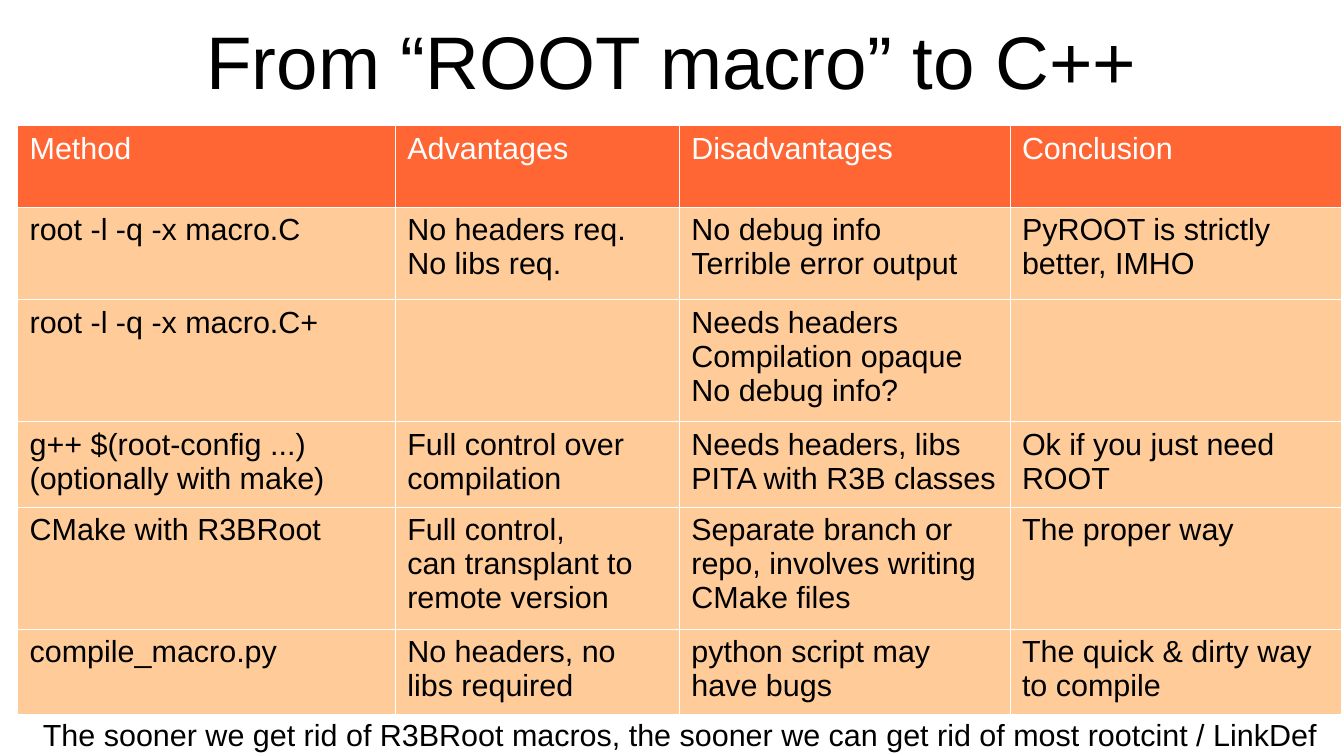
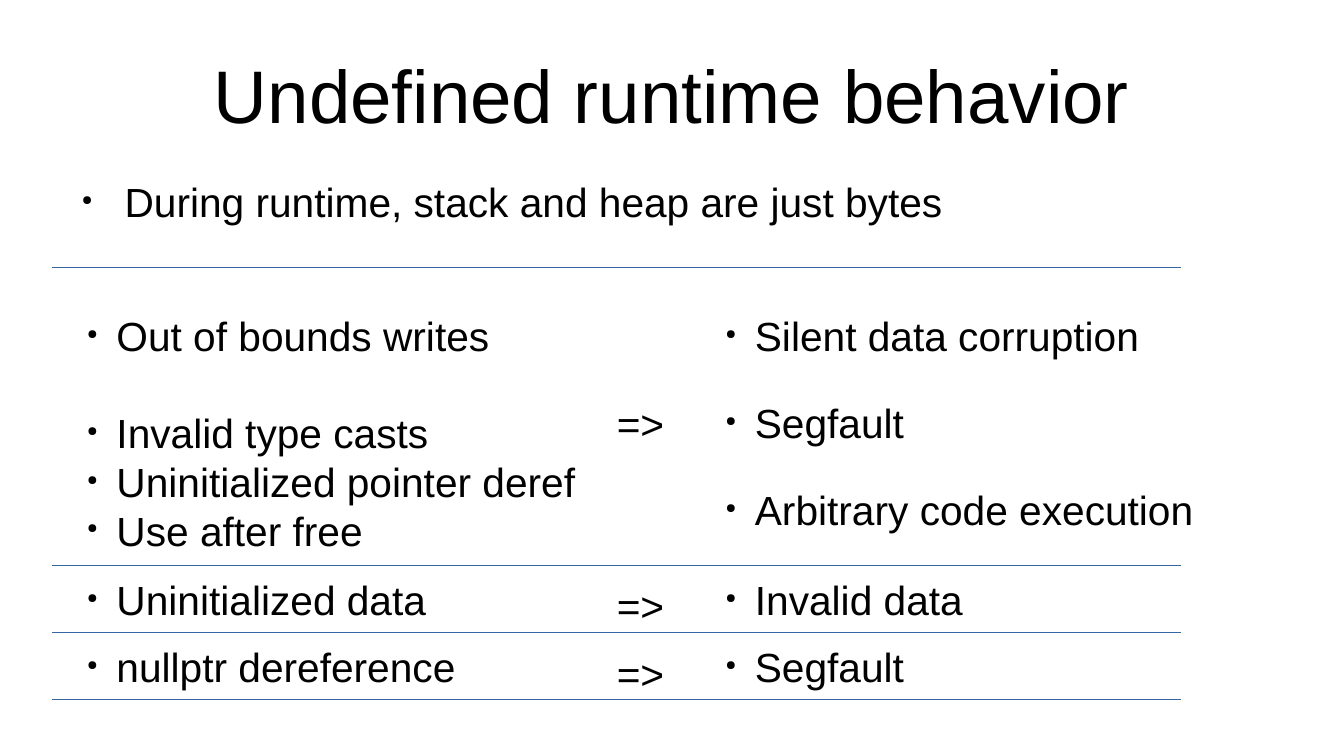
import pptx
import pptx.dml.color
import pptx.enum.shapes
import pptx.enum.text
import pptx.oxml.ns
import pptx.util
from lxml import etree

WIDTH, HEIGHT = 11.02, 6.2
ALIGN = pptx.enum.text.PP_ALIGN
ANCHOR = pptx.enum.text.MSO_ANCHOR
INK, WHITE, RULE = "000000", "FFFFFF", "3465A4"
HEADER_FILL, BODY_FILL = "FF6633", "FFCC99"


def color(code):
    return pptx.dml.color.RGBColor.from_string(code)


def add_xml(parent, tag, **attributes):
    return etree.SubElement(parent, pptx.oxml.ns.qn(tag), attributes)


class SlideWriter:
    """Holds the style and the current slide; lengths are percent of the slide."""

    font = "Arial"
    title_size, body_size, small_size = 44, 24, 18
    hairline = pptx.util.Pt(0.06)

    def __init__(self):
        self.deck = pptx.Presentation()
        self.deck.slide_width = self.x(100)
        self.deck.slide_height = self.y(100)
        self.page = None

    def x(self, share):
        return pptx.util.Inches(WIDTH * share / 100)

    def y(self, share):
        return pptx.util.Inches(HEIGHT * share / 100)

    def area(self, left, top, width, height):
        return self.x(left), self.y(top), self.x(width), self.y(height)

    def new_page(self, title, top):
        self.page = self.deck.slides.add_slide(self.deck.slide_layouts[6])
        self.text((5, top, 90, 16.8), [title], self.title_size, inset=0,
                  anchor=ANCHOR.MIDDLE, format={"alignment": ALIGN.CENTER})

    def style(self, para, size, ink=INK):
        values = {"name": self.font, "size": pptx.util.Pt(size)}
        for span in para.runs:
            for key, value in values.items():
                setattr(span.font, key, value)
            span.font.color.rgb = color(ink)

    def text(self, area, lines, size, inset=0.1, anchor=ANCHOR.TOP, wrap=True, format=None):
        frame = self.page.shapes.add_textbox(*self.area(*area)).text_frame
        side, edge = pptx.util.Inches(inset), pptx.util.Inches(inset / 2)
        settings = {"word_wrap": wrap, "vertical_anchor": anchor,
                    "margin_left": side, "margin_right": side,
                    "margin_top": edge, "margin_bottom": edge}
        for key, value in settings.items():
            setattr(frame, key, value)
        frame.text = "\n".join(lines)
        for para in frame.paragraphs:
            self.style(para, size)
            for key, value in (format or {}).items():
                setattr(para, key, value)
        return frame.paragraphs

    def bullets(self, area, lines, indent=0.24, hang=0.24, inset=0.1, format=None):
        paras = self.text(area, lines, self.body_size, inset, format=format)
        for para in paras:
            props = para._p.get_or_add_pPr()
            props.set("marL", str(pptx.util.Inches(indent)))
            props.set("indent", str(-pptx.util.Inches(hang)))
            add_xml(add_xml(props, "a:buClr"), "a:srgbClr", val=INK)
            add_xml(props, "a:buSzPct", val="33000")
            add_xml(props, "a:buChar", char="●")
        return paras

    def rule(self, top, left=3.9, right=87.84):
        line = self.page.shapes.add_connector(
            pptx.enum.shapes.MSO_CONNECTOR.STRAIGHT,
            self.x(left), self.y(top), self.x(right), self.y(top))
        line.line.color.rgb = color(RULE)
        line.line.width = self.hairline
        add_xml(line._element.spPr, "a:effectLst")

    def cell(self, cell, text, fill, ink):
        cell.fill.solid()
        cell.fill.fore_color.rgb = color(fill)
        cell.text = text
        for para in cell.text_frame.paragraphs:
            self.style(para, self.small_size, ink)
        props = cell._tc.get_or_add_tcPr()
        for place, side in enumerate("LRTB"):
            border = add_xml(props, "a:ln" + side, w=str(self.hairline))
            add_xml(add_xml(border, "a:solidFill"), "a:srgbClr", val=WHITE)
            props.insert(place, border)

    def table(self, left, top, columns, heights, rows):
        grid = self.page.shapes.add_table(
            len(rows), len(columns),
            *self.area(left, top, sum(columns), sum(heights))).table
        grid.horz_banding = False
        for column, width in zip(grid.columns, columns):
            column.width = self.x(width)
        for number, (row, height) in enumerate(zip(grid.rows, heights)):
            row.height = self.y(height)
            fill, ink = (BODY_FILL, INK) if number else (HEADER_FILL, WHITE)
            for cell, text in zip(row.cells, rows[number]):
                self.cell(cell, text, fill, ink)


METHODS = [
    ("Method", "Advantages", "Disadvantages", "Conclusion"),
    ("root -l -q -x macro.C", "No headers req.\nNo libs req.",
     "No debug info\nTerrible error output", "PyROOT is strictly better, IMHO"),
    ("root -l -q -x macro.C+", "",
     "Needs headers\nCompilation opaque\nNo debug info?", ""),
    ("g++ $(root-config ...)\n(optionally with make)", "Full control over compilation",
     "Needs headers, libs\nPITA with R3B classes", "Ok if you just need ROOT"),
    ("CMake with R3BRoot", "Full control,\ncan transplant to remote version",
     "Separate branch or repo, involves writing CMake files", "The proper way"),
    ("compile_macro.py", "No headers, no libs required",
     "python script may have bugs", "The quick & dirty way to compile"),
]


def methods_page(writer):
    writer.new_page("From “ROOT macro” to C++", -0.5)
    writer.table(1.3, 16.6, [28.1, 21.14, 24.6, 24.62],
                 [10.8, 12.2, 16.13, 10.8, 15.3, 10.8], METHODS)
    writer.text((2.3, 93.9, 97.7, 6.1),
                ["The sooner we get rid of R3BRoot macros, the sooner we can "
                 "get rid of most rootcint / LinkDef"],
                writer.small_size)


def behavior_page(writer):
    causes, arrows, effects = 5.6, 45, 53.1
    first_rule, second_rule, pitch = 35.3, 74.7, 8.87

    def arrow(top):
        writer.text((arrows, top, 5.35, 7.6), ["=>"], writer.body_size, wrap=False)

    writer.new_page("Undefined runtime behavior", 4)
    writer.bullets((5, 23.4, 92.6, 8.9),
                   ["During runtime, stack and heap are just bytes"],
                   indent=0.47, hang=0.35, inset=0)
    writer.rule(first_rule)

    # Memory errors and their effects
    errors = writer.bullets((causes, 40.3, 42, 31.6),
                            ["Out of bounds writes", "Invalid type casts",
                             "Uninitialized pointer deref", "Use after free"])
    errors[0].space_after = pptx.util.Pt(28.6)
    arrow(51.9)
    gap = pptx.util.Pt(11.3)
    writer.bullets((effects, 40.3, 44.5, 29.5),
                   ["Silent data corruption", "Segfault", "Arbitrary code execution"],
                   format={"space_before": gap, "space_after": gap})
    writer.rule(second_rule)

    # Single-line bands, each closed by a rule
    bands = [("Uninitialized data", "Invalid data"), ("nullptr dereference", "Segfault")]
    for number, (cause, effect) in enumerate(bands):
        top = second_rule + number * pitch
        writer.bullets((causes, top + 0.55, 38.5, 8.4), [cause])
        arrow(top + 1.4)
        writer.bullets((effects, top + 0.55, 44.5, 8.4), [effect])
        writer.rule(top + pitch)


def main():
    writer = SlideWriter()
    methods_page(writer)
    behavior_page(writer)
    writer.deck.save("out.pptx")


if __name__ == "__main__":
    main()
